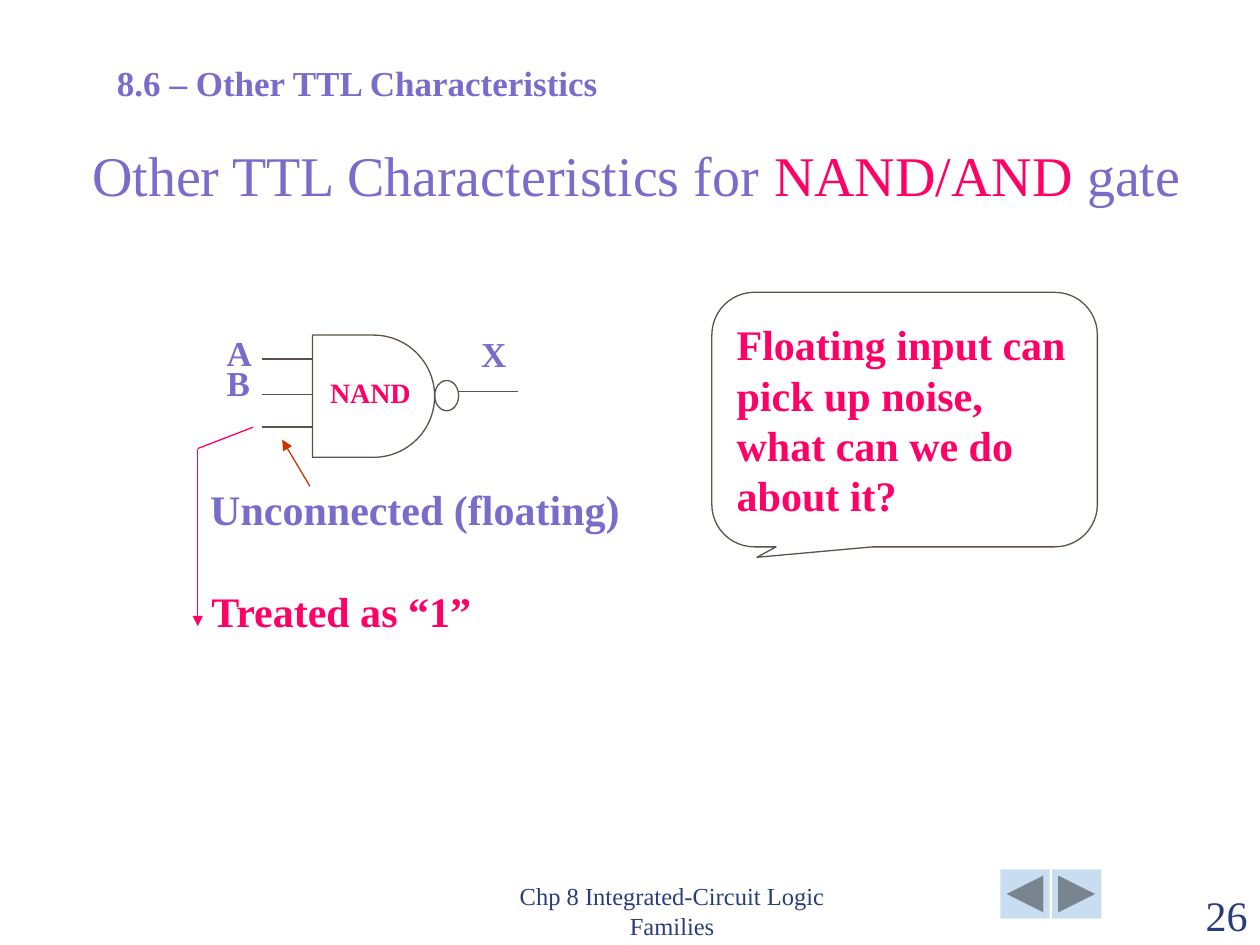
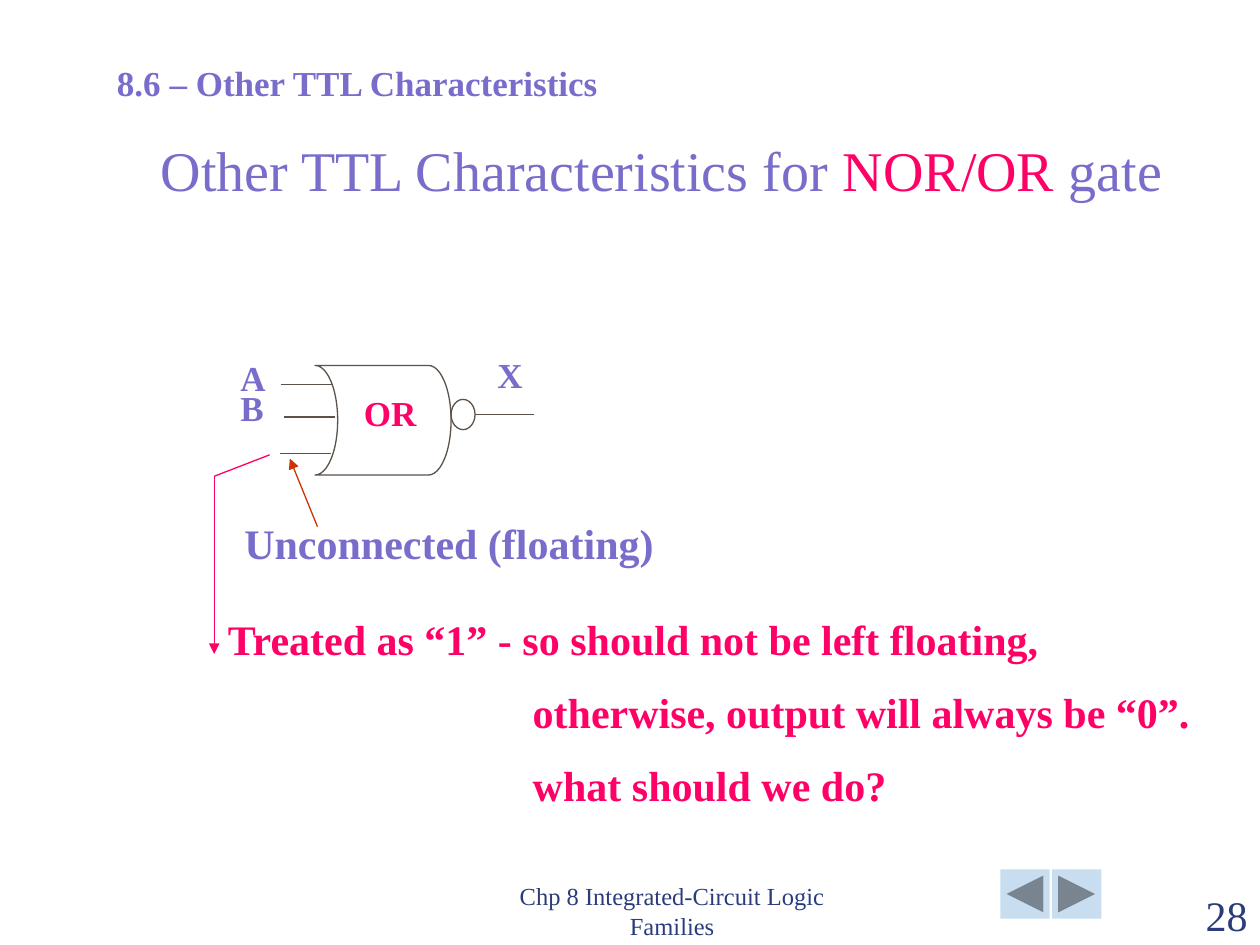
from dataclasses import dataclass
from lxml import etree
from pptx import Presentation
from pptx.dml.color import RGBColor
from pptx.enum.shapes import MSO_CONNECTOR, MSO_SHAPE
from pptx.enum.text import MSO_ANCHOR, PP_ALIGN
from pptx.oxml.ns import qn
from pptx.util import Inches, Pt

LINE = MSO_CONNECTOR.STRAIGHT
BACK = MSO_SHAPE.ACTION_BUTTON_BACK_OR_PREVIOUS
NEXT = MSO_SHAPE.ACTION_BUTTON_FORWARD_OR_NEXT
OVAL = MSO_SHAPE.OVAL
DELAY = MSO_SHAPE.FLOWCHART_DELAY
STORE = MSO_SHAPE.FLOWCHART_STORED_DATA
BUBBLE = MSO_SHAPE.ROUNDED_RECTANGULAR_CALLOUT
TOP, MIDDLE, BOTTOM = MSO_ANCHOR.TOP, MSO_ANCHOR.MIDDLE, MSO_ANCHOR.BOTTOM
LEFT, CENTER, RIGHT = PP_ALIGN.LEFT, PP_ALIGN.CENTER, PP_ALIGN.RIGHT


@dataclass(frozen=True)
class Theme:
    """Colours, type sizes and line width of the deck."""
    font: str = "Times New Roman"
    violet: str = "786DCB"
    pink: str = "FF0066"
    navy: str = "2A3D7A"
    brown: str = "5B5249"
    rust: str = "CC3300"
    sky: str = "C9DDF1"
    title: int = 32
    body: int = 24
    label: int = 20
    small: int = 16
    foot: int = 14
    stroke: float = 0.75


THEME = Theme()


def place(box):
    """Turn a box in inches into lengths."""
    return [Inches(side) for side in box]


def style(run, size, color, bold):
    """Format one run."""
    font = run.font
    font.name, font.size, font.bold = THEME.font, Pt(size), bold
    font.color.rgb = RGBColor.from_string(color)


def fill_text(frame, lines, size, color, bold=True, align=LEFT, gap=0):
    """Write lines as paragraphs, spaced by gap points."""
    frame.text = "\n".join(lines)
    for index, para in enumerate(frame.paragraphs):
        para.alignment = align
        if index:
            para.space_before = Pt(gap)
        for run in para.runs:
            style(run, size, color, bold)


def add_text(slide, box, lines, size, color, wrap=False, anchor=TOP, **kind):
    """Add a text box and return its frame."""
    frame = slide.shapes.add_textbox(*place(box)).text_frame
    frame.word_wrap = wrap
    frame.vertical_anchor = anchor
    fill_text(frame, lines, size, color, **kind)
    return frame


def add_line(slide, start, end, color=THEME.brown, arrow=False):
    """Draw a straight line, with an arrowhead at its end if asked."""
    line = slide.shapes.add_connector(LINE, *place(start + end))
    line.line.color.rgb = RGBColor.from_string(color)
    line.line.width = Pt(THEME.stroke)
    if arrow:
        etree.SubElement(line.line._get_or_add_ln(), qn("a:tailEnd"), type="triangle")
    etree.SubElement(line._element.spPr, qn("a:effectLst"))


def add_form(slide, kind, box, fill=None):
    """Add a preset shape, either filled or outlined."""
    form = slide.shapes.add_shape(kind, *place(box))
    form.shadow.inherit = False
    if fill:
        form.fill.solid()
        form.fill.fore_color.rgb = RGBColor.from_string(fill)
        form.line.fill.background()
    else:
        form.fill.background()
        form.line.color.rgb = RGBColor.from_string(THEME.brown)
        form.line.width = Pt(THEME.stroke)
    return form


def add_frame(deck, number, box, gate):
    """Add a slide with its heading, title, footer and buttons."""
    slide = deck.slides.add_slide(deck.slide_layouts[6])
    for index, kind in enumerate((BACK, NEXT)):
        add_form(slide, kind, (7.94 + 0.41 * index, 6.9, 0.39, 0.39), THEME.sky)
    add_text(slide, (3.75, 7.01, 3.17, 0.5), ["Chp 8 Integrated-Circuit Logic Families"],
             THEME.foot, THEME.navy, True, BOTTOM, bold=False, align=CENTER)
    add_text(slide, (9, 7.01, 1, 0.5), [number], THEME.body, THEME.navy,
             True, BOTTOM, bold=False, align=RIGHT)
    add_text(slide, (0.83, 0.44, 4.19, 0.43), ["8.6 – Other TTL Characteristics"],
             THEME.label, THEME.violet, True)
    title = add_text(slide, box, ["Other TTL Characteristics for "], THEME.title,
                     THEME.violet, True, BOTTOM, bold=False, align=CENTER)
    for text, color in ((gate, THEME.pink), (" gate", THEME.violet)):
        run = title.paragraphs[0].add_run()
        run.text = text
        style(run, THEME.title, color, False)
    return slide


def add_gate(slide, box, kind, pins, reach, ring, wire, pair, out):
    """Draw a gate with input pins, output ring and labels around its box."""
    left, top, width, _ = box
    form = add_form(slide, kind, box)
    if kind == STORE:
        form.rotation = 180
    for x, y in pins:
        add_line(slide, (left + x, top + y), (left + x + reach, top + y))
    edge = left + width
    add_form(slide, OVAL, (edge, top + ring, 0.19, 0.24))
    add_line(slide, (edge + 0.19, top + wire), (edge + 0.66, top + wire))
    names = add_text(slide, (left + pair[0], top + pair[1], 0.4, 0.47), ["A", "B"],
                     THEME.label, THEME.violet, gap=10)
    for para in names.paragraphs:
        para.line_spacing = 0.3
    add_text(slide, (left + out[0], top + out[1], 0.4, 0.43), ["X"],
             THEME.label, THEME.violet)


def add_note(slide, spot, start, end):
    """Label the floating pin and point an arrow at it."""
    x, y = spot
    add_text(slide, (x, y, 3.45, 0.5), ["Unconnected (floating)"], THEME.body, THEME.violet)
    add_line(slide, (x + start[0], y + start[1]), (x + end[0], y + end[1]),
             THEME.rust, True)


def add_result(slide, bend, width, lines):
    """Lead from the floating pin down to what it is treated as."""
    x, y = bend
    add_line(slide, (x + 0.44, y - 0.17), bend, THEME.pink)
    add_line(slide, bend, (x, y + 1.41), THEME.pink, True)
    frame = add_text(slide, (x + 0.01, y + 1.04, width, 0.5 + 0.6 * (len(lines) - 1)),
                     lines, THEME.body, THEME.pink, True, gap=13)
    for para in frame.paragraphs[1:]:
        para._p.get_or_add_pPr().set("marL", str(Inches(2.42)))


def add_callout(slide, box, text):
    """Ask a question in a speech bubble."""
    form = add_form(slide, BUBBLE, box)
    for index, value in enumerate((-0.383, 0.541, 0.167)):
        form.adjustments[index] = value
    form.text_frame.word_wrap = True
    form.text_frame.vertical_anchor = MIDDLE
    fill_text(form.text_frame, [text], THEME.body, THEME.pink)


def add_nand(deck):
    """Build the NAND/AND slide."""
    slide = add_frame(deck, "26", (0.62, 1.06, 8.86, 0.64), "NAND/AND")
    add_gate(slide, (2.48, 2.66, 0.97, 0.97), DELAY,
             [(-0.4, y) for y in (0.19, 0.47, 0.73)], 0.4, 0.36, 0.45,
             (-0.78, 0.12), (1.24, -0.07))
    add_text(slide, (2.52, 2.93, 0.84, 0.37), ["NAND"], THEME.small, THEME.pink,
             align=CENTER)
    add_note(slide, (1.57, 3.79), (0.89, 0.07), (0.67, -0.3))
    add_result(slide, (1.57, 3.56), 2.6, ["Treated as “1”"])
    add_callout(slide, (5.65, 2.32, 3.06, 2.02),
                "Floating input can pick up noise, what can we do about it?")


def add_nor(deck):
    """Build the NOR/OR slide."""
    slide = add_frame(deck, "28", (1, 1.04, 8.5, 0.62), "NOR/OR")
    add_gate(slide, (2.5, 2.9, 1.08, 0.87), STORE,
             [(-0.27, 0.15), (-0.25, 0.41), (-0.28, 0.7)], 0.41, 0.27, 0.39,
             (-0.69, 0.08), (1.35, -0.14))
    add_text(slide, (2.79, 3.06, 0.62, 0.43), ["OR"], THEME.label, THEME.pink)
    add_note(slide, (1.84, 4.06), (0.68, 0.12), (0.46, -0.42))
    add_result(slide, (1.7, 3.78), 8.2,
               ["Treated as “1” - so should not be left floating,",
                "otherwise, output will always be “0”.",
                "what should we do?"])


def main():
    """Build and save the deck."""
    deck = Presentation()
    deck.slide_width, deck.slide_height = Inches(10), Inches(7.5)
    add_nand(deck)
    add_nor(deck)
    deck.save("out.pptx")


if __name__ == "__main__":
    main()
